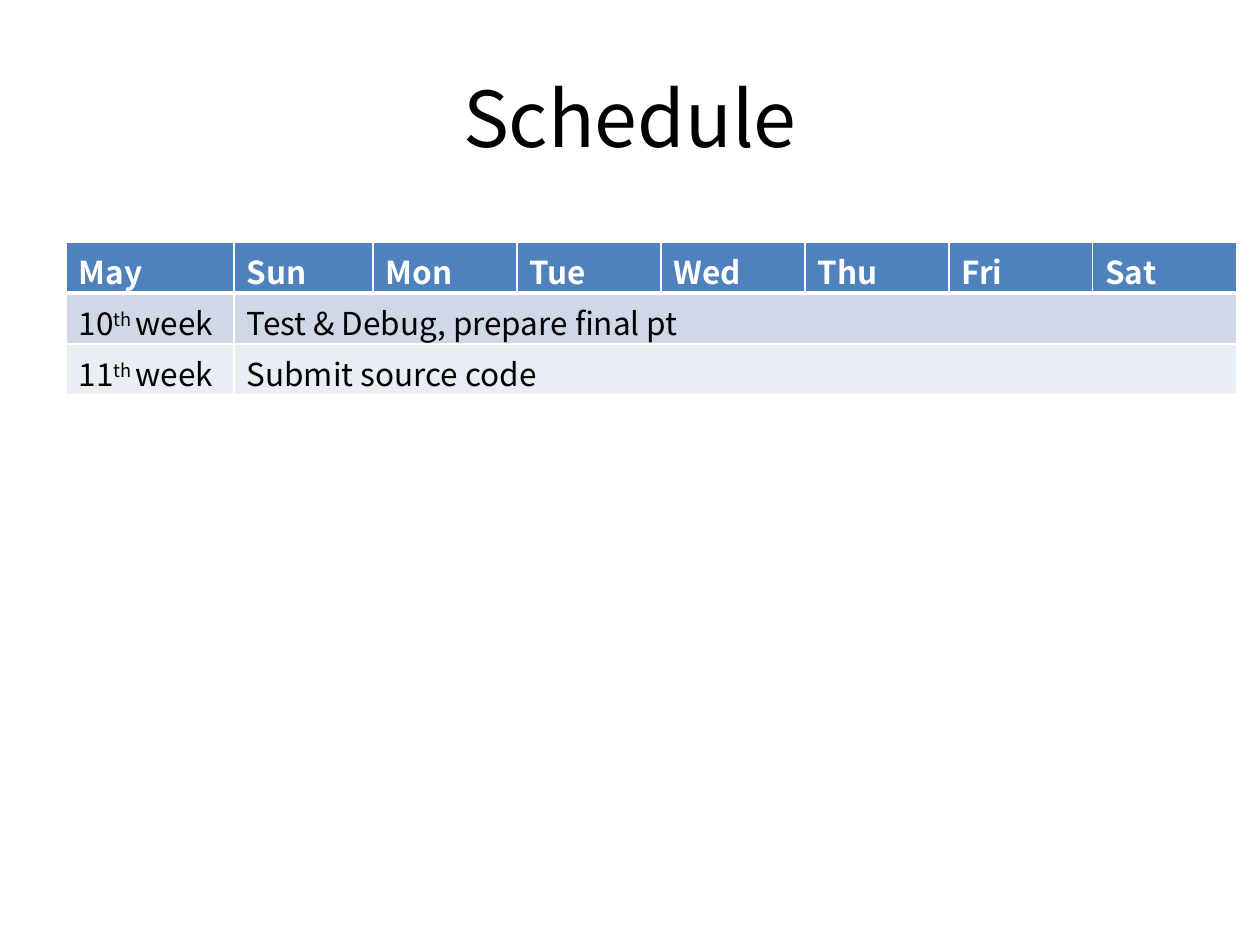
"""Build the schedule slide with its weekly table."""
import pptx
import pptx.dml.color
import pptx.enum.text
import pptx.oxml
import pptx.oxml.ns
import pptx.util

FONT = "Noto Sans CJK KR"
TITLE = "Schedule"
DAYS = ["May", "Sun", "Mon", "Tue", "Wed", "Thu", "Fri", "Sat"]
WEEKS = [("10", "Test & Debug, prepare final pt"), ("11", "Submit source code")]
ROW_FILLS = ["4F81BD", "D0D8E8", "E9EDF4"]
COLUMNS = [168, 139] + [144] * 6
ROW_HEIGHT = 51
TITLE_BOX = (63, 38, 1134, 157)
TABLE_AT = (66, 242)
HEAD = {"size": 18, "color": "FFFFFF", "bold": True}
BODY = {"size": 18, "color": "000000", "bold": False}


def px(n):
    return pptx.util.Emu(n * 914400 // 126)


def rgb(value):
    return pptx.dml.color.RGBColor.from_string(value)


def add_run(p, text, size, color, bold=False, baseline=0):
    r = p.add_run()
    r.text = text
    values = {"name": FONT, "size": pptx.util.Pt(size), "bold": bold}
    for name, value in values.items():
        setattr(r.font, name, value)
    r.font.color.rgb = rgb(color)
    if baseline:
        r._r.get_or_add_rPr().set("baseline", str(baseline * 1000))


def style_cell(cell, row):
    tcPr = cell._tc.get_or_add_tcPr()
    widths = {"L": 1, "R": 1, "T": 3 if row == 1 else 1, "B": 3 if row == 0 else 1}
    for side, width in widths.items():
        tcPr.append(pptx.oxml.parse_xml(
            f'<a:ln{side} {pptx.oxml.ns.nsdecls("a")} w="{pptx.util.Pt(width)}">'
            '<a:solidFill><a:srgbClr val="FFFFFF"/></a:solidFill>'
            f'</a:ln{side}>'))
    cell.fill.solid()
    cell.fill.fore_color.rgb = rgb(ROW_FILLS[row])


prs = pptx.Presentation()
prs.slide_width, prs.slide_height = px(1260), px(945)
s = prs.slides.add_slide(prs.slide_layouts[6])

tf = s.shapes.add_textbox(*map(px, TITLE_BOX)).text_frame
tf.word_wrap = True
tf.vertical_anchor = pptx.enum.text.MSO_ANCHOR.MIDDLE
p = tf.paragraphs[0]
p.alignment = pptx.enum.text.PP_ALIGN.CENTER
add_run(p, TITLE, 44, "000000")

size = (sum(COLUMNS), ROW_HEIGHT * len(ROW_FILLS))
table = s.shapes.add_table(len(ROW_FILLS), len(COLUMNS), *map(px, TABLE_AT + size)).table
table.first_row = table.horz_banding = False
for column, width in zip(table.columns, COLUMNS):
    column.width = px(width)
for i, row in enumerate(table.rows):
    row.height = px(ROW_HEIGHT)
    for cell in row.cells:
        style_cell(cell, i)

for j, day in enumerate(DAYS):
    add_run(table.cell(0, j).text_frame.paragraphs[0], day, **HEAD)
for i, (number, task) in enumerate(WEEKS, 1):
    p = table.cell(i, 0).text_frame.paragraphs[0]
    for text, baseline in [(number, 0), ("th ", 30), ("week", 0)]:
        add_run(p, text, baseline=baseline, **BODY)
    table.cell(i, 1).merge(table.cell(i, len(DAYS) - 1))
    add_run(table.cell(i, 1).text_frame.paragraphs[0], task, **BODY)

prs.save("out.pptx")
